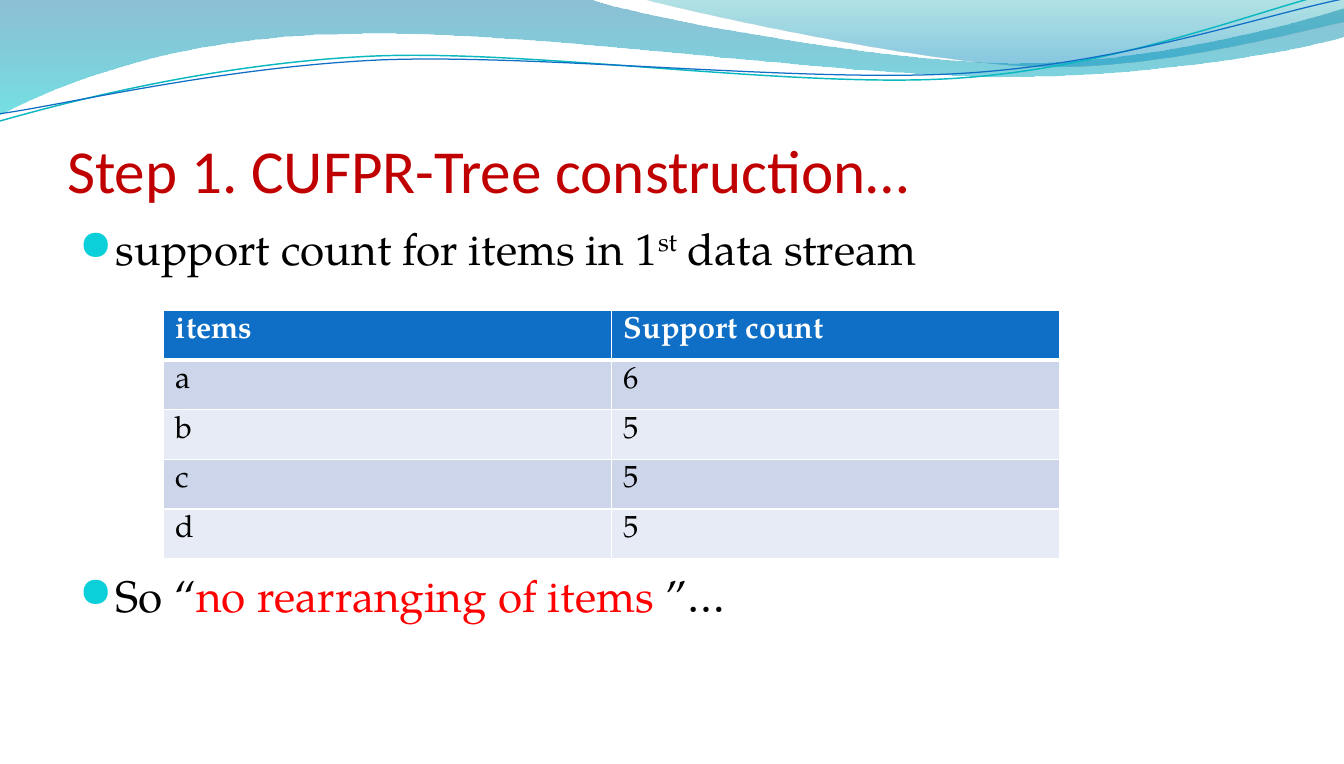
import pptx
import pptx.util
import pptx.dml.color
import pptx.enum.text
import pptx.oxml.ns
import lxml.etree

Inches, Pt = pptx.util.Inches, pptx.util.Pt
qn = pptx.oxml.ns.qn

COLORS = {
    "title": "C00000", "text": "000000", "accent": "FF0000", "bullet": "0BD0D9",
    "header": "0F6FC6", "band_dark": "CCD5EA", "band_light": "E7EBF5", "white": "FFFFFF",
    "teal_line": "0AB8BF", "blue_line": "0F6FC6",
    "wave_top": "0074A1", "wave_bottom": "00C6CF", "crest_top": "00A1A9", "crest_bottom": "008BBF",
}
HEADING, BODY = "Calibri", "TeX Gyre Pagella"

TITLE = "Step 1. CUFPR-Tree construction…"
BULLETS = [
    (5.2, [("support count for items in 1", "text", 0), ("st", "text", 30000), (" data stream", "text", 0)]),
    (173.4, [("So “", "text", 0), ("no rearranging of items ", "accent", 0), ("”…", "text", 0)]),
]
ROWS = [("items", "Support count"), ("a", "6"), ("b", "5"), ("c", "5"), ("d", "5")]

WAVES = [
    ([(0, 0), (4.84, 0), (5.23, 0.14, 7.3, 0.52, 8.34, 0.52), (9.38, 0.52, 10.54, 0.21, 11, 0.07),
      (11, 0.3), (10.82, 0.37, 9.57, 0.63, 8.2, 0.63), (6.84, 0.63, 4.2, 0.23, 2.83, 0.28),
      (1.42, 0.3, 0.5, 0.69, 0, 0.94)],
     [(0, "wave_top", 45), (1, "wave_bottom", 55)]),
    ([(5.27, 0), (5.6, 0.09, 7.5, 0.51, 8.46, 0.54), (9.41, 0.58, 10.58, 0.27, 11, 0.18), (11, 0)],
     [(0, "crest_top", 30), (0.8, "crest_bottom", 45)]),
]
CURVES = [
    ([(0, 0.99), (0.53, 0.84, 1.74, 0.52, 3.04, 0.46), (4.35, 0.4, 6.51, 0.73, 7.84, 0.64),
      (9.16, 0.55, 10.33, 0.07, 10.98, -0.08)], "teal_line", 0.85),
    ([(0, 0.93), (0.52, 0.86, 1.8, 0.55, 3.12, 0.49), (4.43, 0.44, 6.57, 0.68, 7.88, 0.6),
      (9.2, 0.52, 10.35, 0.12, 11, -0.01)], "blue_line", 0.75),
]


def rgb(name):
    return pptx.dml.color.RGBColor.from_string(COLORS[name])


def sub(parent, tag, **attrs):
    return lxml.etree.SubElement(parent, qn(tag), {k: str(v) for k, v in attrs.items()})


def add_outline(s, steps, close):
    points = [(Inches(x), Inches(y)) for step in steps for x, y in zip(step[::2], step[1::2])]
    builder = s.shapes.build_freeform(*points[0])
    builder.add_line_segments(points[1:], close=close)
    sp = builder.convert_to_shape()
    sp.shadow.inherit = False
    segments = iter(list(sp._element.spPr.iter(qn("a:lnTo"))))
    for step in steps[1:]:
        first = next(segments)
        if len(step) == 6:
            first.tag = qn("a:cubicBezTo")
            for _ in range(2):
                extra = next(segments)
                first.append(extra[0])
                extra.getparent().remove(extra)
    return sp


def add_text(s, x, y, w, h):
    sp = s.shapes.add_textbox(Inches(x), Inches(y), Inches(w), Inches(h))
    sp.text_frame.word_wrap = True
    return sp.text_frame


def style(font, name, size, color, bold=False):
    font.name, font.size, font.bold = name, Pt(size), bold
    font.color.rgb = rgb(color)


prs = pptx.Presentation()
prs.slide_width, prs.slide_height = Inches(11), Inches(6.25)
s = prs.slides.add_slide(prs.slide_layouts[6])

for steps, stops in WAVES:
    sp = add_outline(s, steps, True)
    sp.line.fill.background()
    sp.fill.gradient()
    sp.fill.gradient_angle = 270
    for stop, (position, color, alpha) in zip(sp.fill.gradient_stops, stops):
        stop.position = position
        stop.color.rgb = rgb(color)
    for clr, (_, _, alpha) in zip(sp._element.spPr.iter(qn("a:srgbClr")), stops):
        sub(clr, "a:alpha", val=alpha * 1000)

for steps, color, width in CURVES:
    sp = add_outline(s, steps, False)
    sp.fill.background()
    sp.line.color.rgb = rgb(color)
    sp.line.width = Pt(width)

tf = add_text(s, 0.55, 0.64, 9.9, 1.04)
tf.vertical_anchor = pptx.enum.text.MSO_ANCHOR.BOTTOM
tf.margin_left = tf.margin_right = tf.margin_bottom = 0
p = tf.paragraphs[0]
p.text = TITLE
style(p.font, HEADING, 36, "title")

tf = add_text(s, 0.55, 1.76, 9.9, 4)
for i, (space, runs) in enumerate(BULLETS):
    p = tf.add_paragraph() if i else tf.paragraphs[0]
    p.space_before = Pt(space)
    pPr = p._p.get_or_add_pPr()
    pPr.set("marL", str(Inches(0.3)))
    pPr.set("indent", str(Inches(-0.3)))
    sub(sub(pPr, "a:buClr"), "a:srgbClr", val=COLORS["bullet"])
    sub(pPr, "a:buSzPct", val=95000)
    sub(pPr, "a:buFont", typeface="OpenSymbol")
    sub(pPr, "a:buChar", char="●")
    for text, color, baseline in runs:
        r = p.add_run()
        r.text = text
        style(r.font, BODY, 26, color)
        if baseline:
            r._r.get_or_add_rPr().set("baseline", str(baseline))

frame = s.shapes.add_table(len(ROWS), 2, Inches(1.34), Inches(2.54), Inches(7.33), Inches(2.03))
for i, row in enumerate(ROWS):
    fill = "header" if i == 0 else "band_dark" if i % 2 else "band_light"
    for j, text in enumerate(row):
        cell = frame.table.cell(i, j)
        cell.text = text
        style(cell.text_frame.paragraphs[0].font, BODY, 18, "text" if i else "white", i == 0)
        tcPr = cell._tc.get_or_add_tcPr()
        for side in "LRTB":
            heavy = (i, side) in ((0, "B"), (1, "T"))
            ln = sub(tcPr, "a:ln" + side, w=Pt(3 if heavy else 1))
            sub(sub(ln, "a:solidFill"), "a:srgbClr", val=COLORS["white"])
        cell.fill.solid()
        cell.fill.fore_color.rgb = rgb(fill)

prs.save("out.pptx")
